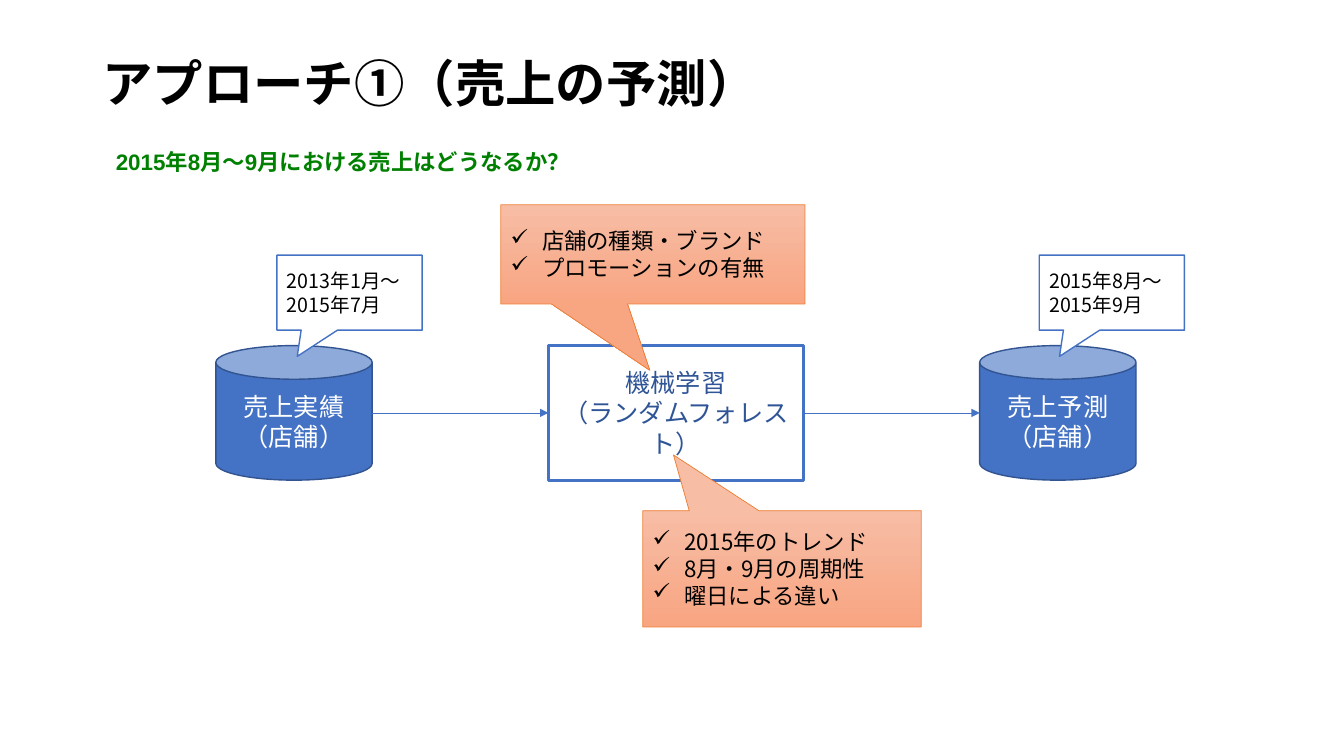
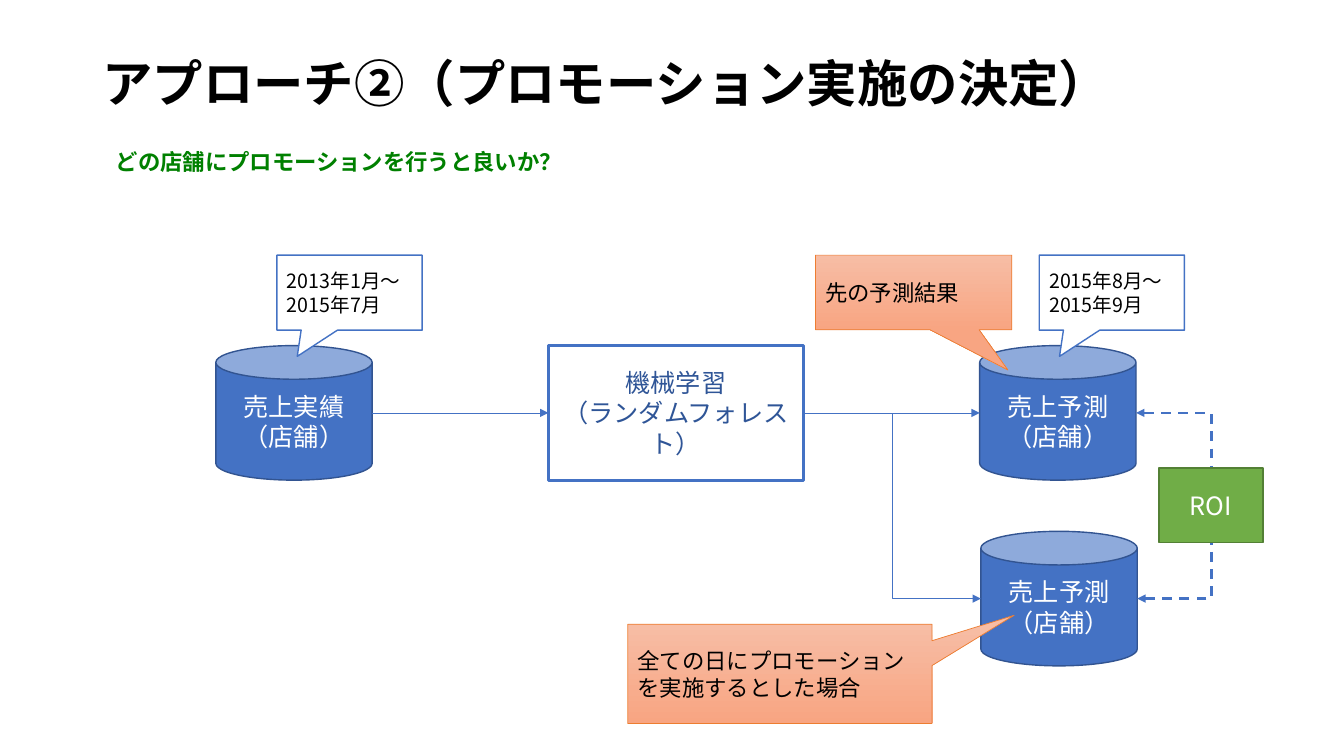
from lxml import etree
from pptx import Presentation
from pptx.dml.color import RGBColor
from pptx.enum.dml import MSO_LINE
from pptx.enum.shapes import MSO_CONNECTOR, MSO_SHAPE
from pptx.enum.text import MSO_ANCHOR, PP_ALIGN
from pptx.oxml.ns import qn
from pptx.util import Cm, Pt

BLACK = RGBColor(0x00, 0x00, 0x00)
WHITE = RGBColor(0xFF, 0xFF, 0xFF)
BLUE = RGBColor(0x44, 0x72, 0xC4)
BLUE_EDGE = RGBColor(0x32, 0x54, 0x91)
BLUE_TEXT = RGBColor(0x2F, 0x55, 0x97)
QUESTION_GREEN = RGBColor(0x00, 0x80, 0x00)
ROI_GREEN = RGBColor(0x70, 0xAD, 0x47)
ROI_EDGE = RGBColor(0x53, 0x80, 0x35)
ORANGE = RGBColor(0xED, 0x7D, 0x31)
PEACH = (RGBColor(0xF7, 0xBD, 0xA5), RGBColor(0xF8, 0xA5, 0x82))
FONT = "Noto Sans CJK JP"

# Flow row and can size, in cm
CAN_W, ROW_H = 3.94, 3.39
ROW_Y = 8.71
MID_Y = ROW_Y + ROW_H / 2
ACTUAL_X, MODEL_X, FORECAST_X = 5.44, 13.82, 24.69
MODEL_W = 6.43
PROMO_X, PROMO_Y = 24.72, 13.39
PROMO_MID_Y = PROMO_Y + ROW_H / 2

# Looks: preset, fill, line colour, line width, text size, text colour, alignment
CAN = (MSO_SHAPE.CAN, BLUE, BLUE_EDGE, 1, 18, WHITE, PP_ALIGN.CENTER)
MODEL = (MSO_SHAPE.RECTANGLE, WHITE, BLUE, 2.25, 18, BLUE_TEXT, PP_ALIGN.CENTER)
ROI = (MSO_SHAPE.RECTANGLE, ROI_GREEN, ROI_EDGE, 1, 18, WHITE, PP_ALIGN.CENTER)
PERIOD = (MSO_SHAPE.RECTANGULAR_CALLOUT, WHITE, BLUE, 1, 14, BLACK, PP_ALIGN.LEFT)
NOTE = (MSO_SHAPE.RECTANGULAR_CALLOUT, PEACH, ORANGE, 0.5, 16, BLACK, PP_ALIGN.LEFT)
TITLE = (None, None, None, 0, 36, BLACK, PP_ALIGN.LEFT)
QUESTION = (None, None, None, 0, 16, QUESTION_GREEN, PP_ALIGN.LEFT)


def add_box(s, look, box, lines, tip=None, checked=False, latin=FONT):
    preset, fill, edge, width, size, color, align = look
    box = [Cm(v) for v in box]
    if preset is None:
        sp = s.shapes.add_textbox(*box)
    else:
        sp = s.shapes.add_shape(preset, *box)
        sp.shadow.inherit = False
        sp.line.color.rgb = edge
        sp.line.width = Pt(width)
        if fill is PEACH:
            sp.fill.gradient()
            sp.fill.gradient_angle = 270
            for stop, rgb in zip(sp.fill.gradient_stops, PEACH):
                stop.color.rgb = rgb
        else:
            sp.fill.solid()
            sp.fill.fore_color.rgb = fill
    if tip:
        sp.adjustments[0], sp.adjustments[1] = tip
    tf = sp.text_frame
    tf.word_wrap = True
    tf.vertical_anchor = MSO_ANCHOR.MIDDLE
    for i, line in enumerate(lines):
        p = tf.paragraphs[0] if i == 0 else tf.add_paragraph()
        p.alignment = align
        if preset is None:
            p.line_spacing = 0.9
        if checked:
            pPr = p._p.get_or_add_pPr()
            pPr.set("marL", str(Cm(0.79)))
            pPr.set("indent", str(-Cm(0.79)))
            etree.SubElement(pPr, qn("a:buChar")).set("char", "✓")
        r = p.add_run()
        r.text = line
        r.font.name = latin
        r.font.size = Pt(size)
        r.font.bold = preset is None
        r.font.color.rgb = color
        ea = etree.SubElement(r._r.get_or_add_rPr(), qn("a:ea"))
        ea.set("typeface", FONT)
    return sp


def add_arrow(s, kind, start, end, width=0.5, ends=("tailEnd",)):
    cxn = s.shapes.add_connector(kind, *[Cm(v) for v in (*start, *end)])
    cxn.line.color.rgb = BLUE
    cxn.line.width = Pt(width)
    if len(ends) == 2:
        cxn.line.dash_style = MSO_LINE.DASH
    ln = cxn.line._get_or_add_ln()
    for name in ends:
        etree.SubElement(ln, qn(f"a:{name}")).set("type", "triangle")
    etree.SubElement(cxn._element.spPr, qn("a:effectLst"))
    return cxn


prs = Presentation()
prs.slide_width, prs.slide_height = Cm(33.87), Cm(19.05)

# Title, question and flow shared by both slides
slides = []
for title, question in (
    ("アプローチ①（売上の予測）", "2015年8月～9月における売上はどうなるか？"),
    ("アプローチ②（プロモーション実施の決定）", "どの店舗にプロモーションを行うと良いか？"),
):
    s = prs.slides.add_slide(prs.slide_layouts[6])
    slides.append(s)
    add_box(s, TITLE, (2.33, 1.02, 29.21, 2.31), [title])
    add_box(s, QUESTION, (2.67, 3.53, 28.87, 1.17), [question], latin="Arial")

    model = add_box(s, MODEL, (MODEL_X, ROW_Y, MODEL_W, ROW_H),
                    ["機械学習", "（ランダムフォレスト）"])
    for x, name in ((ACTUAL_X, "売上実績"), (FORECAST_X, "売上予測")):
        add_box(s, CAN, (x, ROW_Y, CAN_W, ROW_H), [name, "（店舗）"])

    to_model = add_arrow(s, MSO_CONNECTOR.STRAIGHT,
                         (ACTUAL_X + CAN_W, MID_Y), (MODEL_X, MID_Y))
    to_model.end_connect(model, 1)
    to_forecast = add_arrow(s, MSO_CONNECTOR.STRAIGHT,
                            (MODEL_X + MODEL_W, MID_Y), (FORECAST_X, MID_Y))
    to_forecast.begin_connect(model, 3)

    for x, period in ((6.98, "2013年1月～2015年7月"), (26.19, "2015年8月～2015年9月")):
        add_box(s, PERIOD, (x, 6.43, 3.66, 1.89), [period], tip=(-0.36, 0.85))

forecast_slide, promo_slide = slides

# Slide 1: features fed to the model
add_box(forecast_slide, NOTE, (16.2, 12.87, 7.02, 2.93),
        ["2015年のトレンド", "8月・9月の周期性", "曜日による違い"],
        tip=(-0.39, -0.98), checked=True)
add_box(forecast_slide, NOTE, (12.62, 5.16, 7.67, 2.5),
        ["店舗の種類・ブランド", "プロモーションの有無"],
        tip=(-0.01, 1.17), checked=True)

# Slide 2: second forecast, with promotion every day
add_box(promo_slide, CAN, (PROMO_X, PROMO_Y, CAN_W, ROW_H), ["売上予測", "（店舗）"])
add_arrow(promo_slide, MSO_CONNECTOR.ELBOW,
          (MODEL_X + MODEL_W, MID_Y), (PROMO_X, PROMO_MID_Y))
add_box(promo_slide, NOTE, (15.82, 15.73, 7.67, 2.5),
        ["全ての日にプロモーションを実施するとした場合"], tip=(0.77, -0.59))

# Slide 2: ROI compares the two forecasts
compare = add_arrow(promo_slide, MSO_CONNECTOR.ELBOW,
                    (FORECAST_X + CAN_W, MID_Y), (PROMO_X + CAN_W, PROMO_MID_Y),
                    width=1.75, ends=("headEnd", "tailEnd"))
bend = int(Cm(1.9) / compare.width * 100000)
avLst = compare._element.spPr.find(qn("a:prstGeom")).find(qn("a:avLst"))
gd = etree.SubElement(avLst, qn("a:gd"))
gd.set("name", "adj1")
gd.set("fmla", f"val {bend}")
add_box(promo_slide, ROI, (29.21, 11.79, 2.62, 1.88), ["ROI"])
add_box(promo_slide, NOTE, (20.55, 6.43, 4.95, 1.88), ["先の予測結果"], tip=(0.48, 1.04))

prs.save("out.pptx")
